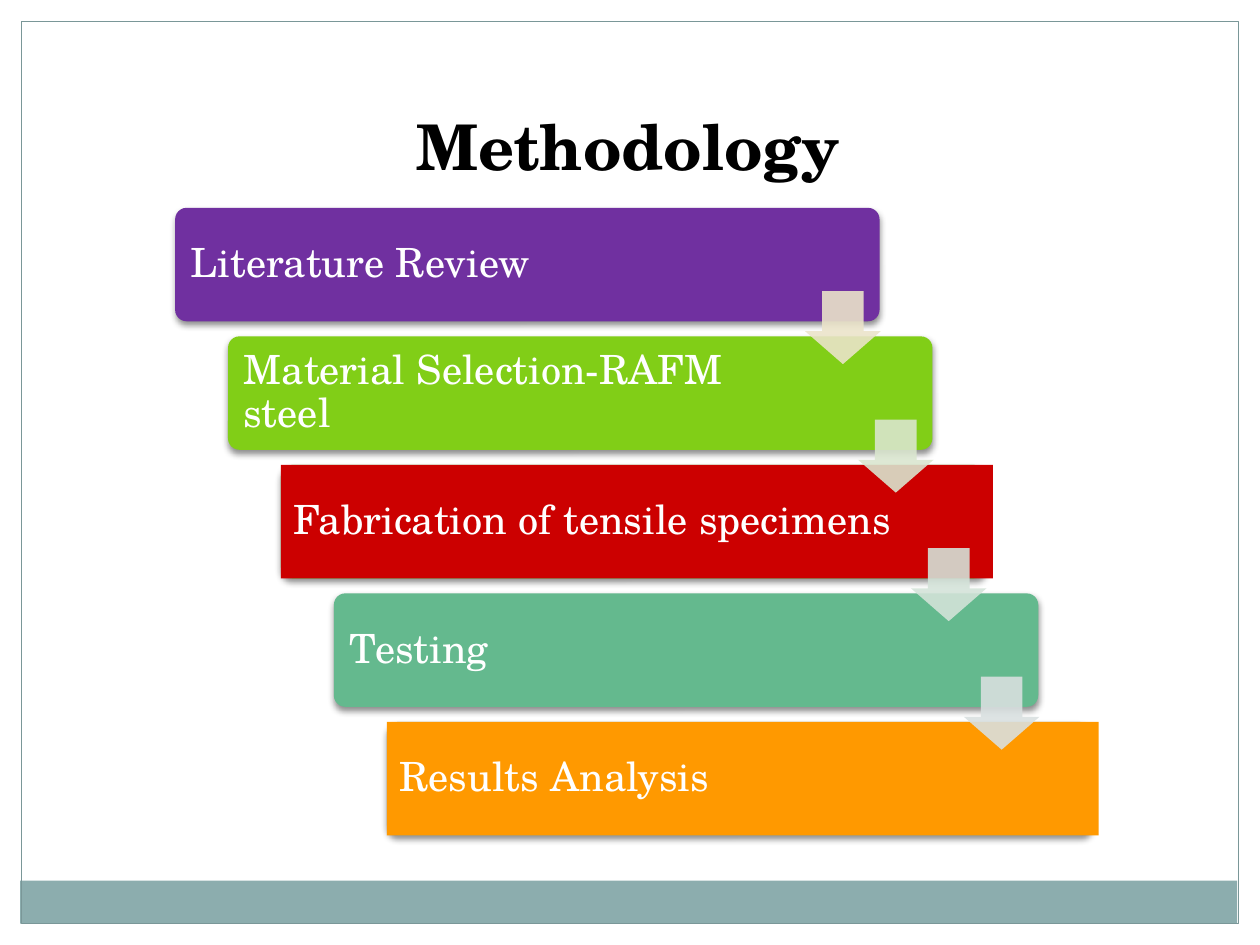
from lxml import etree
from pptx import Presentation
from pptx.dml.color import RGBColor
from pptx.enum.shapes import MSO_SHAPE
from pptx.enum.text import MSO_ANCHOR, PP_ALIGN
from pptx.oxml.ns import qn
from pptx.util import Inches, Pt

RECTANGLE = MSO_SHAPE.RECTANGLE
ROUNDED = MSO_SHAPE.ROUNDED_RECTANGLE
DOWN_ARROW = MSO_SHAPE.DOWN_ARROW
TOP, MIDDLE = MSO_ANCHOR.TOP, MSO_ANCHOR.MIDDLE
LEFT, CENTER = PP_ALIGN.LEFT, PP_ALIGN.CENTER

FONT = "TeX Gyre Schola"
BLACK = RGBColor(0x00, 0x00, 0x00)
WHITE = RGBColor(0xFF, 0xFF, 0xFF)
BAND = RGBColor(0x8C, 0xAD, 0xAE)
FRAME = RGBColor(0x7A, 0x97, 0x98)
PURPLE = RGBColor(0x70, 0x30, 0xA0)
LIME = RGBColor(0x81, 0xCE, 0x17)
GREEN = RGBColor(0x3D, 0xCA, 0x37)
RED = RGBColor(0xCC, 0x00, 0x00)
SEA_GREEN = RGBColor(0x64, 0xB9, 0x8E)
GREY_TEAL = RGBColor(0x8B, 0xAC, 0xAD)
ORANGE = RGBColor(0xFF, 0x99, 0x00)

STEPS = [
    ("Literature Review", PURPLE, None),
    ("Material Selection-RAFM steel", LIME, None),
    ("Fabrication of tensile specimens", GREEN, RED),
    ("Testing", SEA_GREEN, None),
    ("Results Analysis", GREY_TEAL, ORANGE),
]
ARROW_COLORS = [
    RGBColor(0xEB, 0xE4, 0xCA),
    RGBColor(0xDA, 0xE6, 0xCF),
    RGBColor(0xD4, 0xE3, 0xD9),
    RGBColor(0xD9, 0xE0, 0xE0),
]
FIRST_LEFT, FIRST_TOP = 1.39, 1.65
STEP_RIGHT, STEP_DOWN = 0.42, 1.02
CARD_WIDTH, COVER_WIDTH, CARD_HEIGHT = 5.59, 5.65, 0.9
PADDING, ARROW_ROOM = 0.1, 1.11


def add_block(slide, preset, left, top, width, height, fill=None):
    block = slide.shapes.add_shape(
        preset, Inches(left), Inches(top), Inches(width), Inches(height))
    block.shadow.inherit = False
    block.line.fill.background()
    if fill is None:
        block.fill.background()
    else:
        block.fill.solid()
        block.fill.fore_color.rgb = fill
    return block


def set_opacity(color_element, percent):
    etree.SubElement(color_element, qn("a:alpha"), val=str(percent * 1000))


def add_shadow(card):
    effects = card._element.spPr.find(qn("a:effectLst"))
    shadow = etree.SubElement(
        effects, qn("a:outerShdw"), blurRad=str(Pt(4)), dist=str(Pt(2)),
        dir="5400000", rotWithShape="0")
    set_opacity(etree.SubElement(shadow, qn("a:srgbClr"), val=str(BLACK)), 45)


def style_font(paragraph, size, color, bold=False):
    paragraph.font.name = FONT
    paragraph.font.size = Pt(size)
    paragraph.font.bold = bold
    paragraph.font.color.rgb = color


def write_label(card, label, right_inset):
    frame = card.text_frame
    frame.word_wrap = True
    frame.vertical_anchor = MIDDLE
    frame.margin_left = frame.margin_top = frame.margin_bottom = Inches(PADDING)
    frame.margin_right = Inches(right_inset)
    paragraph = frame.paragraphs[0]
    paragraph.text = label
    paragraph.alignment = LEFT
    paragraph.line_spacing = 0.9
    style_font(paragraph, 23, WHITE)


def add_step(slide, index, label, fill, cover_fill):
    left = FIRST_LEFT + index * STEP_RIGHT
    top = FIRST_TOP + index * STEP_DOWN
    card = add_block(slide, ROUNDED, left, top, CARD_WIDTH, CARD_HEIGHT, fill)
    card.adjustments[0] = 0.1
    add_shadow(card)
    if cover_fill is None:
        write_label(card, label, ARROW_ROOM)
    else:
        cover = add_block(slide, RECTANGLE, left, top, COVER_WIDTH, CARD_HEIGHT, cover_fill)
        write_label(cover, label, PADDING)


def add_step_arrow(slide, index, fill):
    left = FIRST_LEFT + 5 + index * STEP_RIGHT
    top = FIRST_TOP + 0.66 + index * STEP_DOWN
    arrow = add_block(slide, DOWN_ARROW, left, top, 0.6, 0.58, fill)
    arrow.adjustments[0] = 0.55
    arrow.adjustments[1] = 0.45
    set_opacity(arrow._element.spPr.find(qn("a:solidFill"))[0], 89)


def add_frame(slide):
    add_block(slide, RECTANGLE, 0.16, 6.99, 9.66, 0.34, BAND)
    border = add_block(slide, RECTANGLE, 0.17, 0.17, 9.66, 7.16)
    border.line.color.rgb = FRAME
    border.line.width = Pt(0.75)


def write_title(slide, text):
    title = slide.shapes.title
    title.left, title.top = Inches(0.61), Inches(0.8)
    title.width, title.height = Inches(8.75), Inches(0.75)
    title.text_frame.vertical_anchor = TOP
    paragraph = title.text_frame.paragraphs[0]
    paragraph.text = text
    paragraph.alignment = CENTER
    style_font(paragraph, 36, BLACK, bold=True)


def main():
    presentation = Presentation()
    presentation.slide_width = Inches(10)
    presentation.slide_height = Inches(7.5)
    slide = presentation.slides.add_slide(presentation.slide_layouts[5])
    add_frame(slide)
    write_title(slide, "Methodology")
    for index, (label, fill, cover_fill) in enumerate(STEPS):
        add_step(slide, index, label, fill, cover_fill)
    for index, fill in enumerate(ARROW_COLORS):
        add_step_arrow(slide, index, fill)
    presentation.save("out.pptx")


if __name__ == "__main__":
    main()
